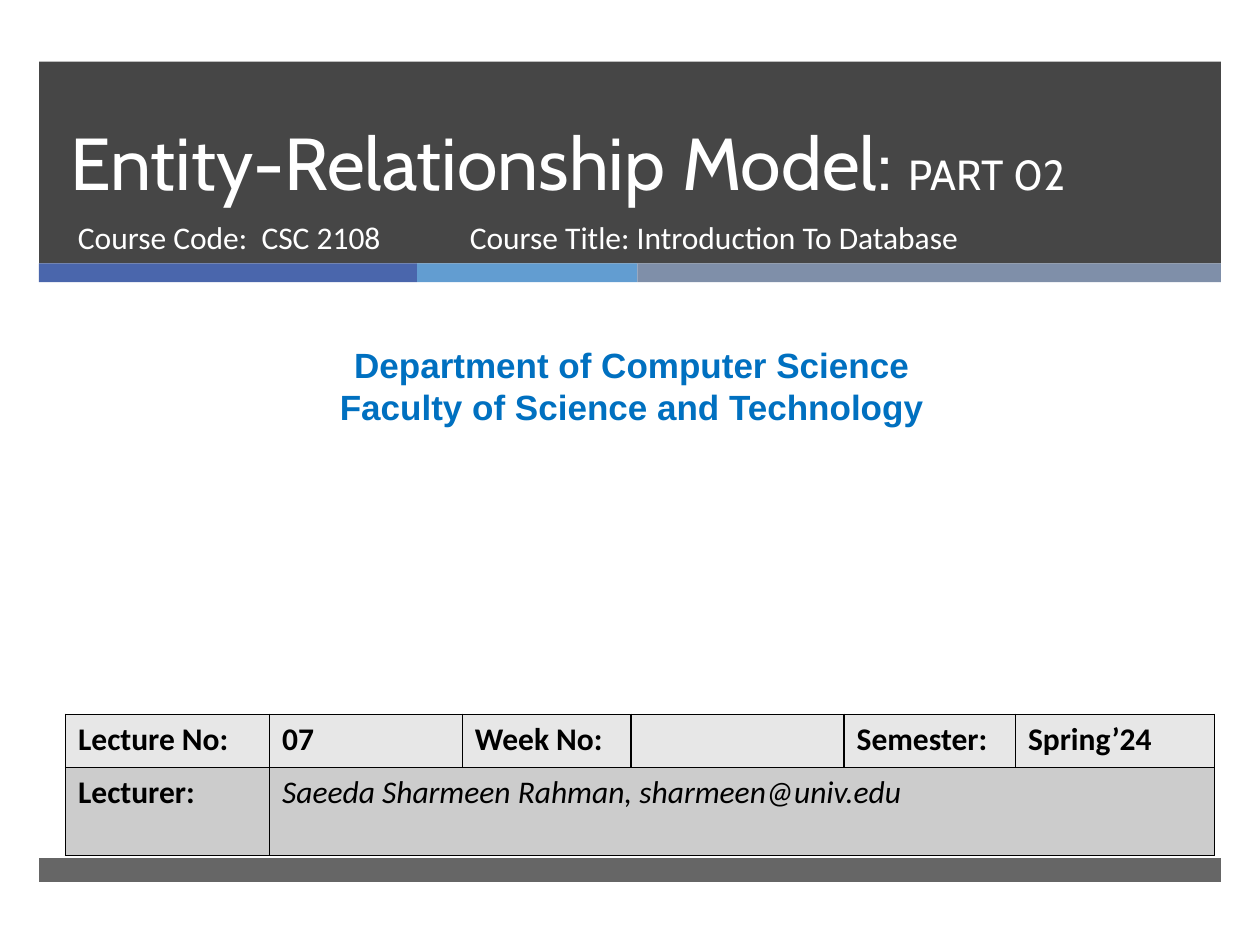
from lxml import etree
from pptx import Presentation
from pptx.dml.color import RGBColor
from pptx.enum.shapes import MSO_SHAPE
from pptx.enum.text import MSO_ANCHOR, PP_ALIGN
from pptx.oxml.ns import qn
from pptx.util import Inches, Pt

RECT = MSO_SHAPE.RECTANGLE
TOP, BOTTOM = MSO_ANCHOR.TOP, MSO_ANCHOR.BOTTOM
LEFT, CENTER = PP_ALIGN.LEFT, PP_ALIGN.CENTER

COLORS = {
    "dark": "262626", "indigo": "4A66AC", "sky": "629DD1", "slate": "7F8FA9",
    "white": "FFFFFF", "black": "000000", "department": "0070C0",
    "light_row": "E7E7E7", "gray_row": "CCCCCC",
}
MARGIN = 0.31
BANNER_WIDTH = 9.38


def rgb(name):
    return RGBColor.from_string(COLORS[name])


def add_bar(page, left, top, width, height, color, opacity=100):
    bar = page.shapes.add_shape(
        RECT, Inches(left), Inches(top), Inches(width), Inches(height))
    bar.shadow.inherit = False
    bar.line.fill.background()
    bar.fill.solid()
    bar.fill.fore_color.rgb = rgb(color)
    if opacity < 100:
        tint = bar.fill._xPr.find(qn("a:solidFill"))[0]
        etree.SubElement(tint, qn("a:alpha"), val=str(opacity * 1000))


def add_span(para, text, size, font, color, bold=False, italic=False):
    span = para.add_run()
    span.text = text
    span.font.size = Pt(size)
    span.font.name = font
    span.font.color.rgb = rgb(color)
    span.font.bold = bold
    span.font.italic = italic


def add_text(page, left, top, width, height, lines, font, color,
             bold=False, align=LEFT, anchor=TOP, spacing=None):
    """Add a text box; each line is a list of (text, size) spans."""
    box = page.shapes.add_textbox(
        Inches(left), Inches(top), Inches(width), Inches(height))
    frame = box.text_frame
    frame.word_wrap = True
    frame.vertical_anchor = anchor
    for index, spans in enumerate(lines):
        para = frame.add_paragraph() if index else frame.paragraphs[0]
        para.alignment = align
        if spacing:
            para.line_spacing = Pt(spacing)
        for text, size in spans:
            add_span(para, text, size, font, color, bold)


def style_cell(cell, fill):
    cell.fill.solid()
    cell.fill.fore_color.rgb = rgb(fill)
    props = cell._tc.get_or_add_tcPr()
    for index, side in enumerate(("a:lnL", "a:lnR", "a:lnT", "a:lnB")):
        border = etree.Element(qn(side), w=str(Pt(1)))
        paint = etree.SubElement(border, qn("a:solidFill"))
        etree.SubElement(paint, qn("a:srgbClr"), val=COLORS["black"])
        props.insert(index, border)


def add_lecture_table(page):
    widths = [1.62, 1.53, 1.34, 1.69, 1.36, 1.58]
    heights = [0.42, 0.7]
    rows = [
        ["Lecture No:", "07", "Week No:", "", "Semester:", "Spring’24"],
        ["Lecturer:", "Saeeda Sharmeen Rahman, sharmeen@univ.edu", "", "", "", ""],
    ]
    table = page.shapes.add_table(
        len(rows), len(widths), Inches(0.52), Inches(5.67),
        Inches(sum(widths)), Inches(sum(heights))).table
    for column, width in zip(table.columns, widths):
        column.width = Inches(width)
    for row, height in zip(table.rows, heights):
        row.height = Inches(height)
    table.cell(1, 1).merge(table.cell(1, 5))
    for r, (texts, fill) in enumerate(zip(rows, ("light_row", "gray_row"))):
        for c, text in enumerate(texts):
            cell = table.cell(r, c)
            style_cell(cell, fill)
            if text:
                is_lecturer = (r, c) == (1, 1)
                add_span(cell.text_frame.paragraphs[0], text, 18, "Calibri",
                         "black", bold=not is_lecturer, italic=is_lecturer)


def main():
    deck = Presentation()
    deck.slide_width, deck.slide_height = Inches(10), Inches(7.5)
    page = deck.slides.add_slide(deck.slide_layouts[6])

    add_bar(page, MARGIN, 0.49, BANNER_WIDTH, 1.6, "dark", 85)
    left = MARGIN
    for width, color in ((3, "indigo"), (1.75, "sky"), (4.63, "slate")):
        add_bar(page, left, 2.09, width, 0.15, color)
        left += width
    add_bar(page, MARGIN, 6.81, BANNER_WIDTH, 0.19, "dark", 70)

    add_text(page, 0.46, 0.49, 8.54, 1.19,
             [[("Entity-Relationship Model: ", 42), ("PART 02", 24)]],
             "Cabin", "white", anchor=BOTTOM, spacing=46)
    add_text(page, 0.52, 1.68, 3.05, 0.53,
             [[("Course Code:  CSC 2108", 18)]], "Calibri", "white")
    add_text(page, 3.63, 1.68, 4.55, 0.53,
             [[("Course Title: Introduction To Database", 18)]],
             "Calibri", "white")
    add_text(page, 0.08, 2.68, 9.87, 0.77,
             [[("Department of Computer Science", 20)],
              [("Faculty of Science and Technology", 20)]],
             "Arial", "department", bold=True, align=CENTER)
    add_lecture_table(page)
    deck.save("out.pptx")


if __name__ == "__main__":
    main()
